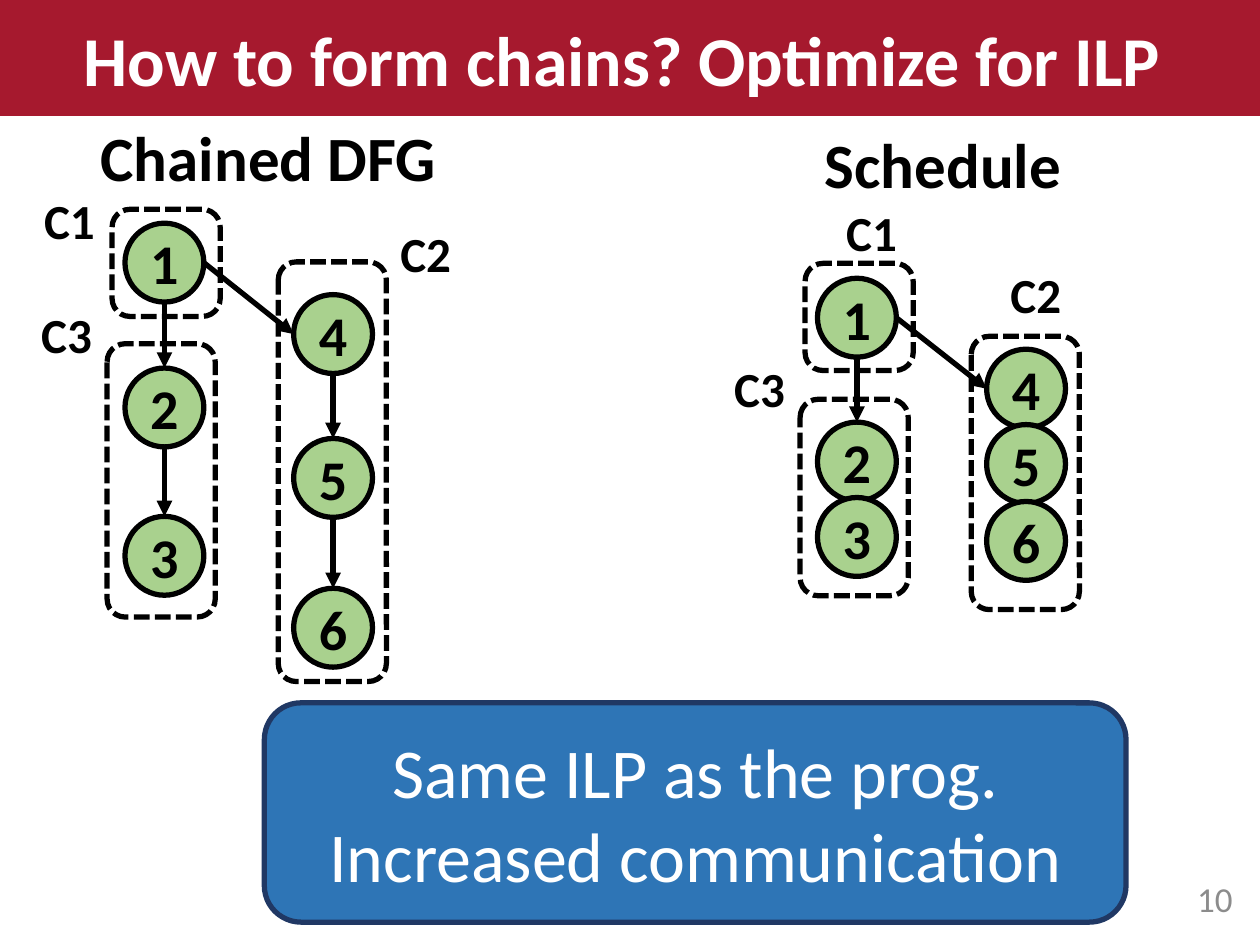
from lxml.etree import SubElement
from pptx import Presentation
from pptx.dml.color import RGBColor
from pptx.enum.dml import MSO_LINE
from pptx.enum.shapes import MSO_CONNECTOR, MSO_SHAPE
from pptx.enum.text import MSO_ANCHOR, PP_ALIGN
from pptx.oxml.ns import qn
from pptx.util import Cm, Pt

COLORS = {"banner": "A6192E", "white": "FFFFFF", "black": "000000", "number": "8C8C8C",
          "callout": "2E75B6", "callout_edge": "203864", "node": "A9D18E"}
NODE_SIZE = 1.59
CHAIN_WIDTH = 2.18

prs = Presentation()
prs.slide_width, prs.slide_height = Cm(25.4), Cm(19.05)
slide = prs.slides.add_slide(prs.slide_layouts[6])


def add_block(kind, box, fill=None, edge=None):
    block = slide.shapes.add_shape(kind, *map(Cm, box))
    block.shadow.inherit = False
    if fill:
        block.fill.solid()
        block.fill.fore_color.rgb = RGBColor.from_string(COLORS[fill])
    else:
        block.fill.background()
    if edge:
        block.line.color.rgb = RGBColor.from_string(COLORS[edge])
        block.line.width = Pt(3)
    else:
        block.line.fill.background()
    return block


def write(holder, text, size, color="black", bold=True, align=PP_ALIGN.CENTER, anchor=MSO_ANCHOR.MIDDLE):
    frame = holder.text_frame
    frame.text = text
    frame.vertical_anchor = anchor
    for paragraph in frame.paragraphs:
        paragraph.alignment = align
        for run in paragraph.runs:
            run.font.name = "Calibri"
            run.font.size = Pt(size)
            run.font.bold = bold
            run.font.color.rgb = RGBColor.from_string(COLORS[color])


banner = add_block(MSO_SHAPE.RECTANGLE, (0, 0, 25.4, 2.34), "banner")
write(banner, "How to form chains? Optimize for ILP ", 40, "white")

page_number = slide.shapes.add_textbox(Cm(19.38), Cm(17.6), Cm(5.72), Cm(1.02))
write(page_number, "10", 20, "number", False, PP_ALIGN.RIGHT)

callout = add_block(MSO_SHAPE.ROUNDED_RECTANGLE, (5.33, 14.17, 17.37, 4.42), "callout", "callout_edge")
write(callout, "Same ILP as the prog.\nIncreased communication", 40, "white", False)

graphs = [
    {
        "heading": ("Chained DFG", 1.78, 2.26, 7.34),
        "nodes": {1: (2.52, 4.5), 2: (2.52, 7.42), 3: (2.52, 10.41),
                  4: (5.92, 5.94), 5: (5.92, 8.84), 6: (5.92, 11.86)},
        "edges": [(1, 2), (2, 3), (1, 4), (4, 5), (5, 6)],
        "chains": [(2.26, 4.22, 2.16), (5.61, 5.28, 8.46), (2.16, 6.93, 5.51)],
        "labels": [(0.64, 3.71), (7.82, 4.39), (0.58, 6.02)],
    },
    {
        "heading": ("Schedule", 16.38, 2.41, 5.33),
        "nodes": {1: (16.48, 5.61), 2: (16.48, 8.51), 3: (16.48, 10.03),
                  4: (19.89, 7.04), 5: (19.89, 8.56), 6: (19.89, 10.11)},
        "edges": [(1, 2), (1, 4)],
        "chains": [(16.23, 5.31, 2.16), (19.58, 6.78, 5.51), (16.13, 8.05, 3.96)],
        "labels": [(16.81, 3.96), (20.12, 5.21), (14.55, 7.11)],
    },
]

for graph in graphs:
    for number, (left, top) in graph["nodes"].items():
        node = add_block(MSO_SHAPE.OVAL, (left, top, NODE_SIZE, NODE_SIZE), "node", "black")
        frame = node.text_frame
        frame.margin_left = frame.margin_right = frame.margin_top = frame.margin_bottom = 0
        frame.word_wrap = False
        write(node, str(number), 32)

    for source, target in graph["edges"]:
        (x1, y1), (x2, y2) = graph["nodes"][source], graph["nodes"][target]
        half = NODE_SIZE / 2
        if x1 == x2:
            ends = (x1 + half, y1 + NODE_SIZE, x2 + half, y2)
        else:
            ends = (x1 + NODE_SIZE, y1 + half, x2, y2 + half)
        arrow = slide.shapes.add_connector(MSO_CONNECTOR.STRAIGHT, *map(Cm, ends))
        arrow.line.color.rgb = RGBColor.from_string(COLORS["black"])
        arrow.line.width = Pt(3)
        SubElement(arrow.line._get_or_add_ln(), qn("a:tailEnd"), type="triangle")
        SubElement(arrow._element.spPr, qn("a:effectLst"))

    for left, top, height in graph["chains"]:
        chain = add_block(MSO_SHAPE.ROUNDED_RECTANGLE, (left, top, CHAIN_WIDTH, height), edge="black")
        chain.line.dash_style = MSO_LINE.SQUARE_DOT

    captions = [(f"C{i}", left, top, 1.55, 1.45, 28) for i, (left, top) in enumerate(graph["labels"], 1)]
    heading, left, top, width = graph["heading"]
    captions.append((heading, left, top, width, 1.8, 36))
    for text, left, top, width, height, size in captions:
        caption = slide.shapes.add_textbox(Cm(left), Cm(top), Cm(width), Cm(height))
        caption.text_frame.word_wrap = False
        write(caption, text, size, align=PP_ALIGN.LEFT, anchor=MSO_ANCHOR.TOP)

prs.save("out.pptx")
